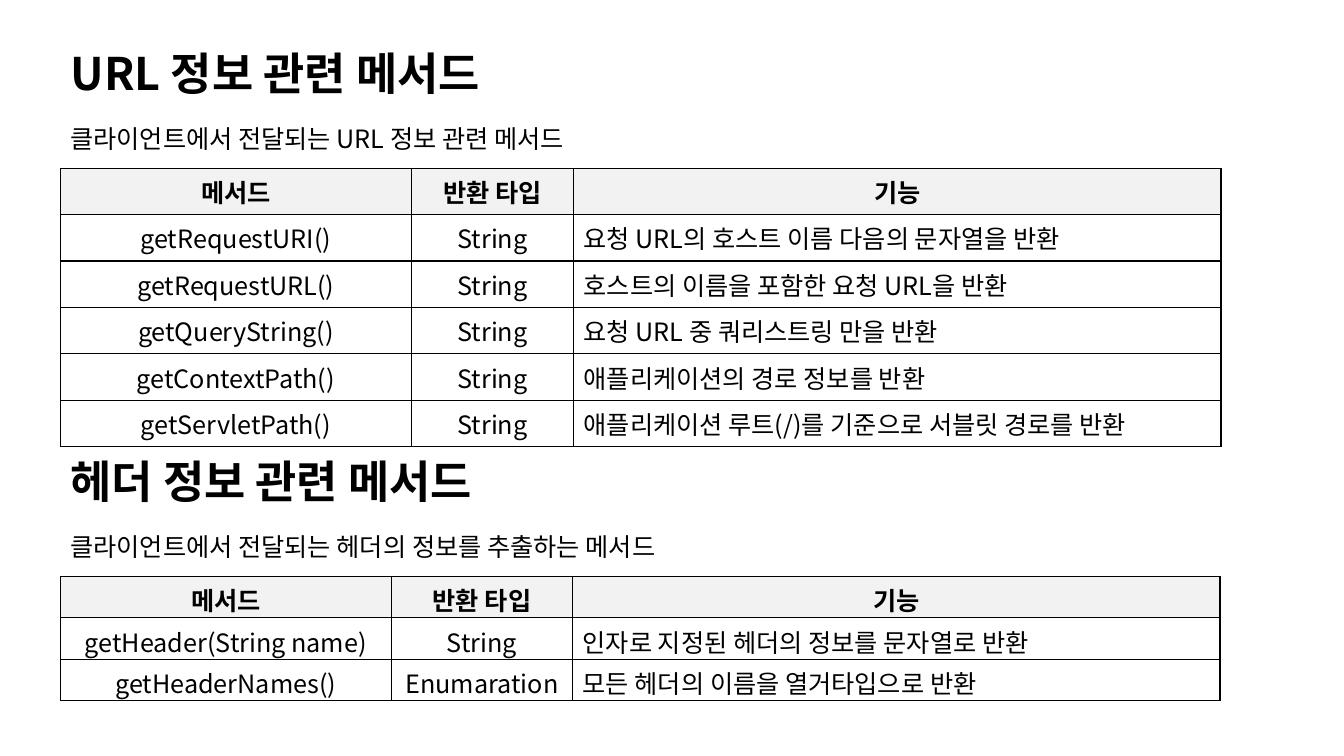
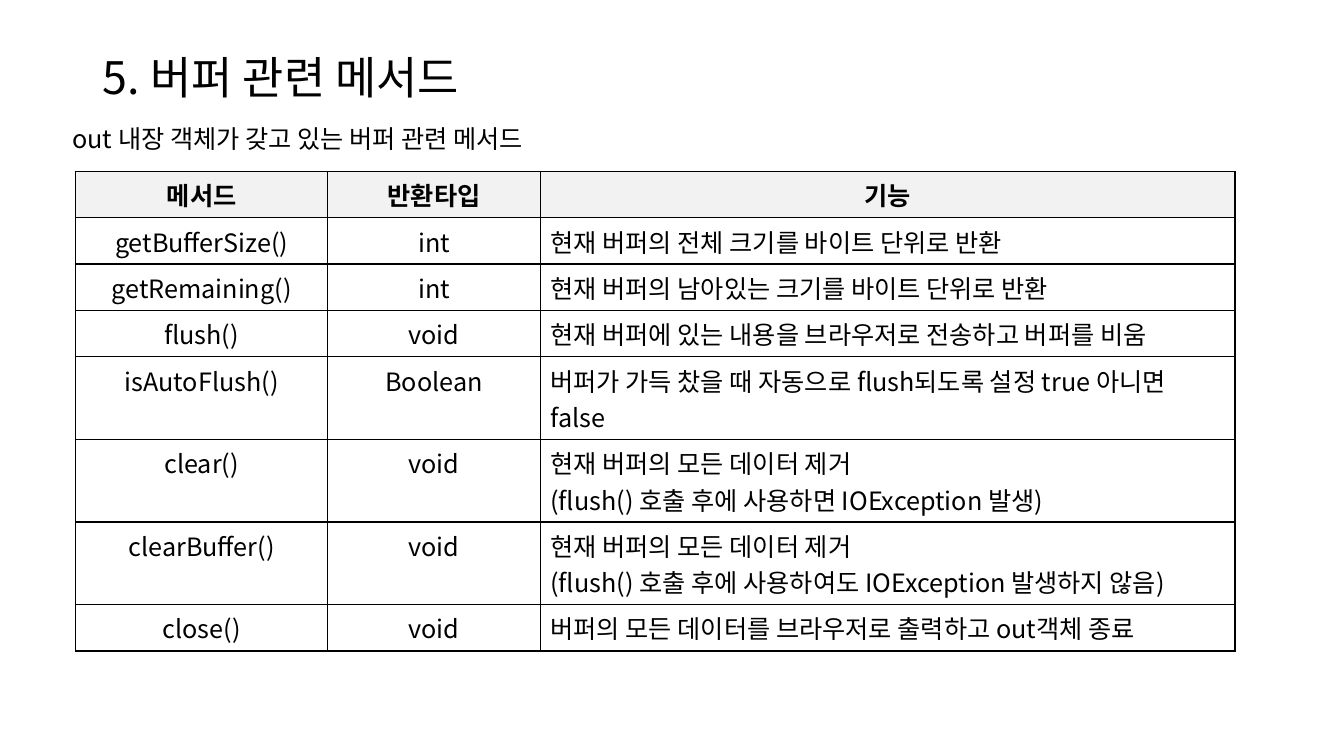
from dataclasses import dataclass

from pptx import Presentation
from pptx.dml.color import RGBColor
from pptx.enum.text import MSO_ANCHOR, PP_ALIGN
from pptx.oxml.ns import qn
from pptx.util import Inches, Pt
from lxml import etree

CENTER, LEFT = PP_ALIGN.CENTER, PP_ALIGN.LEFT
TOP, MIDDLE = MSO_ANCHOR.TOP, MSO_ANCHOR.MIDDLE
TITLE_ONLY = 5


@dataclass(frozen=True)
class Theme:
    font: str = "Noto Sans CJK KR"
    ink: str = "000000"
    paper: str = "FFFFFF"
    header: str = "F2F2F2"
    title_size: int = 32
    body_size: int = 18
    border: int = 1           # points
    content_width: float = 11.5
    lead_top: float = 1.17
    line: float = 0.36        # height of one line of body text
    pad: float = 0.05         # cell padding above and below


THEME = Theme()

# Table content: the first row is the header, "\n" separates paragraphs
URL_ROWS = [
    ("메서드", "반환 타입", "기능"),
    ("getRequestURI()", "String", "요청 URL의 호스트 이름 다음의 문자열을 반환"),
    ("getRequestURL()", "String", "호스트의 이름을 포함한 요청 URL을 반환"),
    ("getQueryString()", "String", "요청 URL 중 쿼리스트링 만을 반환"),
    ("getContextPath()", "String", "애플리케이션의 경로 정보를 반환"),
    ("getServletPath()", "String", "애플리케이션 루트(/)를 기준으로 서블릿 경로를 반환"),
]
HEADER_ROWS = [
    ("메서드", "반환 타입", "기능"),
    ("getHeader(String name)", "String", "인자로 지정된 헤더의 정보를 문자열로 반환"),
    ("getHeaderNames()", "Enumaration", "모든 헤더의 이름을 열거타입으로 반환"),
]
BUFFER_ROWS = [
    ("메서드", "반환타입", "기능"),
    ("getBufferSize()", "int", "현재 버퍼의 전체 크기를 바이트 단위로 반환"),
    ("getRemaining()", "int", "현재 버퍼의 남아있는 크기를 바이트 단위로 반환"),
    ("flush()", "void", "현재 버퍼에 있는 내용을 브라우저로 전송하고 버퍼를 비움"),
    ("isAutoFlush()", "Boolean",
     "버퍼가 가득 찼을 때 자동으로 flush되도록 설정 true 아니면 false"),
    ("clear()", "void",
     "현재 버퍼의 모든 데이터 제거\n(flush() 호출 후에 사용하면 IOException 발생)"),
    ("clearBuffer()", "void",
     "현재 버퍼의 모든 데이터 제거\n(flush() 호출 후에 사용하여도 IOException 발생하지 않음)"),
    ("close()", "void", "버퍼의 모든 데이터를 브라우저로 출력하고 out객체 종료"),
]


def write(tf, text, size, bold=False, align=LEFT, spacing=None):
    """Fill a text frame, one paragraph per line of text."""
    for i, line in enumerate(text.split("\n")):
        p = tf.add_paragraph() if i else tf.paragraphs[0]
        p.alignment = align
        if spacing:
            p.line_spacing = spacing
        r = p.add_run()
        r.text = line
        r.font.size, r.font.bold, r.font.name = Pt(size), bold, THEME.font
        r.font.color.rgb = RGBColor.from_string(THEME.ink)
        ea = etree.Element(qn("a:ea"), typeface=THEME.font)
        r.font._element.find(qn("a:latin")).addnext(ea)


def place(sp, left, top, width, height):
    sp.left, sp.top = Inches(left), Inches(top)
    sp.width, sp.height = Inches(width), Inches(height)


def write_heading(sp, text, left, top, height, bold):
    place(sp, left, top, THEME.content_width, height)
    tf = sp.text_frame
    tf.word_wrap, tf.vertical_anchor = True, MIDDLE
    write(tf, text, THEME.title_size, bold, spacing=0.9)


def add_titled_slide(prs, text, left, top, height, bold=False):
    s = prs.slides.add_slide(prs.slide_layouts[TITLE_ONLY])
    write_heading(s.shapes.title, text, left, top, height, bold)
    return s


def add_subheading(s, text, left, top, height):
    write_heading(s.shapes.add_textbox(0, 0, 0, 0), text, left, top, height, True)


def add_lead(s, text, left, top, width):
    sp = s.shapes.add_textbox(0, 0, 0, 0)
    place(sp, left, top, width, 0.4)
    sp.text_frame.word_wrap = True
    write(sp.text_frame, text, THEME.body_size)


def set_borders(cell):
    tc_pr = cell._tc.get_or_add_tcPr()
    for i, side in enumerate(("lnL", "lnR", "lnT", "lnB")):
        ln = etree.Element(qn(f"a:{side}"), w=str(Pt(THEME.border)))
        fill = etree.SubElement(ln, qn("a:solidFill"))
        etree.SubElement(fill, qn("a:srgbClr"), val=THEME.ink)
        tc_pr.insert(i, ln)


def add_method_table(s, rows, left, top, col_widths, two_line=(), pad_bottom=THEME.pad):
    """Three-column method table; two_line lists the rows of double height."""
    heights = [THEME.line * (2 if i in two_line else 1) + THEME.pad + pad_bottom
               for i in range(len(rows))]
    frame = s.shapes.add_table(len(rows), len(col_widths), Inches(left), Inches(top),
                               Inches(sum(col_widths)), Inches(sum(heights)))
    table = frame.table
    table.first_row = table.horz_banding = False
    for col, width in zip(table.columns, col_widths):
        col.width = Inches(width)
    for i, (values, height) in enumerate(zip(rows, heights)):
        table.rows[i].height = Inches(height)
        is_header = i == 0
        for j, value in enumerate(values):
            cell = table.cell(i, j)
            cell.vertical_anchor = TOP
            cell.margin_top, cell.margin_bottom = Inches(THEME.pad), Inches(pad_bottom)
            cell.fill.solid()
            cell.fill.fore_color.rgb = RGBColor.from_string(
                THEME.header if is_header else THEME.paper)
            set_borders(cell)
            align = CENTER if is_header or j < 2 else LEFT
            write(cell.text_frame, value, THEME.body_size, is_header, align)


def build_request_slide(prs):
    left, section = 0.6, 4.05     # left edge, distance between the two sections
    title_top, title_height, table_top = 0.35, 0.81, 1.67
    # URL section
    s = add_titled_slide(prs, "URL 정보 관련 메서드", left, title_top, title_height, True)
    add_lead(s, "클라이언트에서 전달되는 URL 정보 관련 메서드", left, THEME.lead_top, 5.65)
    add_method_table(s, URL_ROWS, left, table_top, (3.48, 1.61, 6.42))
    # Header section
    add_subheading(s, "헤더 정보 관련 메서드", left, title_top + section, title_height)
    add_lead(s, "클라이언트에서 전달되는 헤더의 정보를 추출하는 메서드",
             left, THEME.lead_top + section, 6.71)
    add_method_table(s, HEADER_ROWS, left, table_top + section, (3.28, 1.8, 6.42),
                     pad_bottom=0)


def build_buffer_slide(prs):
    s = add_titled_slide(prs, "5. 버퍼 관련 메서드", 0.92, 0.4, 0.78)
    add_lead(s, "out 내장 객체가 갖고 있는 버퍼 관련 메서드", 0.62, THEME.lead_top, 5.25)
    add_method_table(s, BUFFER_ROWS, 0.75, 1.7, (2.5, 2.11, 6.89), two_line=(4, 5, 6))


def main():
    prs = Presentation()
    prs.slide_width, prs.slide_height = Inches(13.33), Inches(7.5)
    build_request_slide(prs)
    build_buffer_slide(prs)
    prs.save("out.pptx")


if __name__ == "__main__":
    main()
